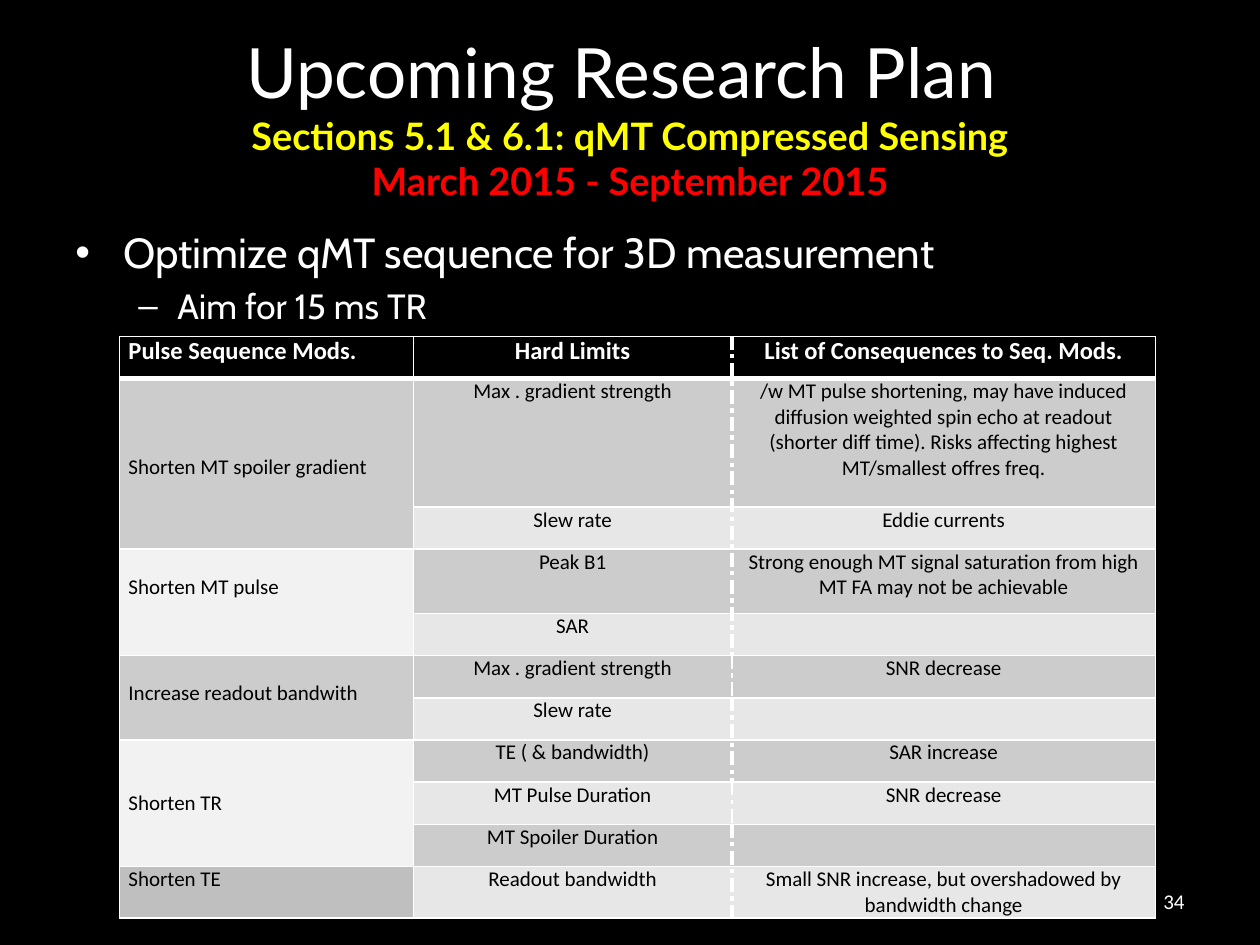
from pptx import Presentation
from pptx.dml.color import RGBColor
from pptx.enum.text import MSO_ANCHOR, PP_ALIGN
from pptx.oxml.ns import qn
from pptx.util import Inches, Pt
from lxml.etree import SubElement

COLORS = {
    "black": "000000", "white": "FFFFFF", "yellow": "FFFF00", "red": "FF0000",
    "dark_band": "CCCCCC", "light_band": "E7E7E7", "pale": "F2F2F2", "gray": "BFBFBF",
}

COL_WIDTHS = [2.33, 2.53, 3.36]
ROW_HEIGHTS = {1: 1.02, 3: 0.51, 10: 0.41}
THIN_DASH_ROWS = (5, 8)
LINE_HEIGHT = 0.2

HEADERS = ["Pulse Sequence Mods.", "Hard Limits", "List of Consequences to Seq. Mods."]
GROUPS = [
    ("Shorten MT spoiler gradient", "dark_band", 3, [
        ("Max . gradient strength",
         "/w MT pulse shortening, may have induced diffusion weighted spin echo at readout "
         "(shorter diff time). Risks affecting highest MT/smallest offres freq."),
        ("Slew rate", "Eddie currents")]),
    ("Shorten MT pulse", "pale", 1, [
        ("Peak B1", "Strong enough MT signal saturation from high MT FA may not be achievable"),
        ("SAR", "")]),
    ("Increase readout bandwith", "dark_band", 1, [
        ("Max . gradient strength", "SNR decrease"),
        ("Slew rate", "")]),
    ("Shorten TR", "pale", 2, [
        ("TE ( & bandwidth)", "SAR increase"),
        ("MT Pulse Duration", "SNR decrease"),
        ("MT Spoiler Duration", "")]),
    ("Shorten TE", "gray", 0, [
        ("Readout bandwidth", "Small SNR increase, but overshadowed by bandwidth change")]),
]


def rgb(color):
    return RGBColor.from_string(COLORS[color])


class SlideBuilder:
    def __init__(self, prs):
        self.s = prs.slides.add_slide(prs.slide_layouts[6])
        self.s.background.fill.solid()
        self.s.background.fill.fore_color.rgb = rgb("black")

    def run(self, p, text, size, font="Calibri", color="white", bold=False):
        r = p.add_run()
        r.text = text
        r.font.size = Pt(size)
        r.font.name = font
        r.font.bold = bold
        r.font.color.rgb = rgb(color)

    def text_box(self, x, y, w, h, anchor=MSO_ANCHOR.TOP):
        sp = self.s.shapes.add_textbox(Inches(x), Inches(y), Inches(w), Inches(h))
        tf = sp.text_frame
        tf.word_wrap = True
        tf.vertical_anchor = anchor
        return tf

    def title(self, box, lines):
        p = self.text_box(*box, anchor=MSO_ANCHOR.MIDDLE).paragraphs[0]
        p.alignment = PP_ALIGN.CENTER
        for i, (text, size, color, bold) in enumerate(lines):
            if i:
                p.add_line_break()
            self.run(p, text, size, "Lato", color, bold)

    def bullets(self, box, items):
        tf = self.text_box(*box)
        for i, (text, size, char, margin, indent) in enumerate(items):
            p = tf.add_paragraph() if i else tf.paragraphs[0]
            p.level = i
            p.alignment = PP_ALIGN.JUSTIFY
            p.space_before = Pt(size * 0.2)
            pPr = p._p.get_or_add_pPr()
            pPr.set("marL", str(Inches(margin)))
            pPr.set("indent", str(Inches(indent)))
            SubElement(pPr, qn("a:buFont"), typeface="Arial")
            SubElement(pPr, qn("a:buChar"), char=char)
            self.run(p, text, size, "Cabin")

    def page_number(self, box, text):
        p = self.text_box(*box, anchor=MSO_ANCHOR.MIDDLE).paragraphs[0]
        p.alignment = PP_ALIGN.RIGHT
        self.run(p, text, 12)

    def table(self, x, y, col_widths, row_heights):
        size = len(row_heights), len(col_widths)
        frame = self.s.shapes.add_table(*size, Inches(x), Inches(y),
                                        Inches(sum(col_widths)), Inches(sum(row_heights)))
        table = frame.table
        for column, width in zip(table.columns, col_widths):
            column.width = Inches(width)
        for row, height in zip(table.rows, row_heights):
            row.height = Inches(height)
        return table

    def border(self, cell, side, width, dash):
        ln = SubElement(cell._tc.get_or_add_tcPr(), qn(f"a:ln{side}"), w=str(Pt(width)))
        fill = SubElement(ln, qn("a:solidFill"))
        SubElement(fill, qn("a:srgbClr"), val=COLORS["white"])
        SubElement(ln, qn("a:prstDash"), val=dash)

    def cell(self, table, row, col, text, fill, offset=0):
        cell = table.cell(row, col)
        cell.margin_left = cell.margin_right = Inches(0.07)
        cell.margin_top, cell.margin_bottom = Inches(offset), 0
        divider = (1 if row in THIN_DASH_ROWS else 2.25, "dashDot")
        solid, heavy = (1, "solid"), (3, "solid")
        self.border(cell, "L", *(divider if col == 2 else solid))
        self.border(cell, "R", *(divider if col == 1 else solid))
        self.border(cell, "T", *(heavy if row == 1 else solid))
        self.border(cell, "B", *(heavy if row == 0 else solid))
        cell.fill.solid()
        cell.fill.fore_color.rgb = rgb(fill)
        p = cell.text_frame.paragraphs[0]
        p.alignment = PP_ALIGN.CENTER if col else PP_ALIGN.JUSTIFY
        if text:
            header = row == 0
            self.run(p, text, 14 if header else 12,
                     color="white" if header else "black", bold=header)


def main():
    prs = Presentation()
    prs.slide_width, prs.slide_height = Inches(10), Inches(7.5)
    b = SlideBuilder(prs)

    b.bullets((0.5, 1.75, 9, 4.95), [
        ("Optimize qMT sequence for 3D measurement", 24, "•", 0.38, -0.38),
        ("Aim for 15 ms TR", 20, "–", 0.81, -0.31),
    ])
    b.title((0.5, 0.3, 9, 1.25), [
        ("Upcoming Research Plan ", 39.6, "white", False),
        ("Sections 5.1 & 6.1: qMT Compressed Sensing", 21.6, "yellow", True),
        ("March 2015 - September 2015", 21.6, "red", True),
    ])

    heights = [ROW_HEIGHTS.get(i, 0.335) for i in range(11)]
    table = b.table(0.95, 2.67, COL_WIDTHS, heights)
    for col, text in enumerate(HEADERS):
        b.cell(table, 0, col, text, "black")
    row = 1
    for name, fill, lines_above, limits in GROUPS:
        first, last = row, row + len(limits) - 1
        for limit, consequence in limits:
            band = "dark_band" if row % 2 else "light_band"
            label = name if row == first else ""
            b.cell(table, row, 0, label, fill, lines_above * LINE_HEIGHT if label else 0)
            b.cell(table, row, 1, limit, band)
            b.cell(table, row, 2, consequence, band)
            row += 1
        if last > first:
            table.cell(first, 0).merge(table.cell(last, 0))

    b.page_number((7.17, 6.95, 2.33, 0.4), "34")
    prs.save("out.pptx")


if __name__ == "__main__":
    main()
